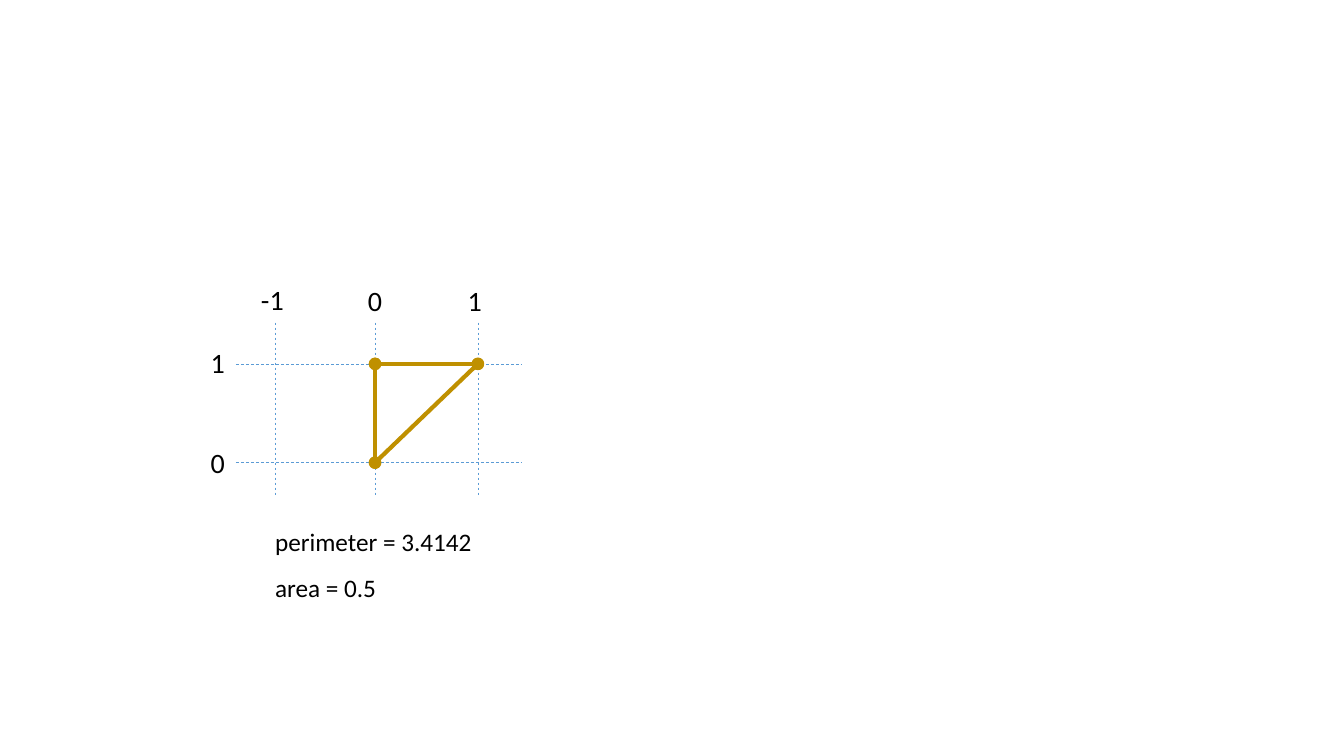
import pptx
import pptx.dml.color
import pptx.enum.dml
import pptx.enum.shapes
import pptx.enum.text
import pptx.oxml.ns
import pptx.util
import lxml.etree

Inches = pptx.util.Inches
GRID_BLUE = "5B9BD5"
GOLD = "BF9000"
BLACK = "000000"


def color(hex_code):
    """Turn a hex string into a colour."""
    return pptx.dml.color.RGBColor.from_string(hex_code)


class Sketch:
    """Holds the text style and the current slide."""

    def __init__(self, slide, font="Calibri"):
        """Keep the slide and the font name."""
        self.slide = slide
        self.font = font

    def label(self, text, left, top, width, height, size):
        """Add one line of text that does not wrap."""
        box = self.slide.shapes.add_textbox(
            Inches(left), Inches(top), Inches(width), Inches(height))
        frame = box.text_frame
        frame.word_wrap = False
        frame.auto_size = pptx.enum.text.MSO_AUTO_SIZE.SHAPE_TO_FIT_TEXT
        paragraph = frame.paragraphs[0]
        paragraph.text = text
        paragraph.font.name = self.font
        paragraph.font.size = pptx.util.Pt(size)
        paragraph.font.color.rgb = color(BLACK)

    def line(self, start, end, hex_code, width):
        """Add a straight line without shadow and return it."""
        connector = self.slide.shapes.add_connector(
            pptx.enum.shapes.MSO_CONNECTOR.STRAIGHT,
            Inches(start[0]), Inches(start[1]), Inches(end[0]), Inches(end[1]))
        connector.line.color.rgb = color(hex_code)
        connector.line.width = pptx.util.Pt(width)
        lxml.etree.SubElement(
            connector._element.spPr, pptx.oxml.ns.qn("a:effectLst"))
        return connector

    def grid_line(self, start, end):
        """Add a thin dashed grid line."""
        connector = self.line(start, end, GRID_BLUE, 0.5)
        connector.line.dash_style = pptx.enum.dml.MSO_LINE.DASH

    def edge(self, start, end):
        """Add a triangle edge with a round dot at both ends."""
        connector = self.line(start, end, GOLD, 3)
        outline = connector.get_or_add_ln()
        for tag in ("a:headEnd", "a:tailEnd"):
            lxml.etree.SubElement(
                outline, pptx.oxml.ns.qn(tag), type="oval")


presentation = pptx.Presentation()
presentation.slide_width = Inches(13.33)
presentation.slide_height = Inches(7.5)
sketch = Sketch(presentation.slides.add_slide(presentation.slide_layouts[6]))

# Slide position of each whole-number coordinate
columns = {-1: 2.73, 0: 3.72, 1: 4.74}
rows = {0: 4.59, 1: 3.61}

# Axis numbers: text, left, top, width
for number, left, top, width in [
        ("0", 3.55, 2.76, 0.34), ("1", 4.54, 2.76, 0.34),
        ("-1", 2.49, 2.75, 0.43),
        ("0", 1.99, 4.37, 0.34), ("1", 1.99, 3.38, 0.34)]:
    sketch.label(number, left, top, width, 0.44, 20)

for y in rows.values():
    sketch.grid_line((2.34, y), (5.17, y))
for x in columns.values():
    sketch.grid_line((x, 3.2), (x, 4.93))

corners = [(columns[x], rows[y]) for x, y in [(0, 0), (1, 1), (0, 1)]]
for index, corner in enumerate(corners):
    sketch.edge(corner, corners[(index + 1) % len(corners)])

sketch.label("perimeter = 3.4142", 2.63, 5.17, 2.17, 0.4, 18)
sketch.label("area = 0.5", 2.63, 5.63, 1.22, 0.4, 18)

presentation.save("out.pptx")
